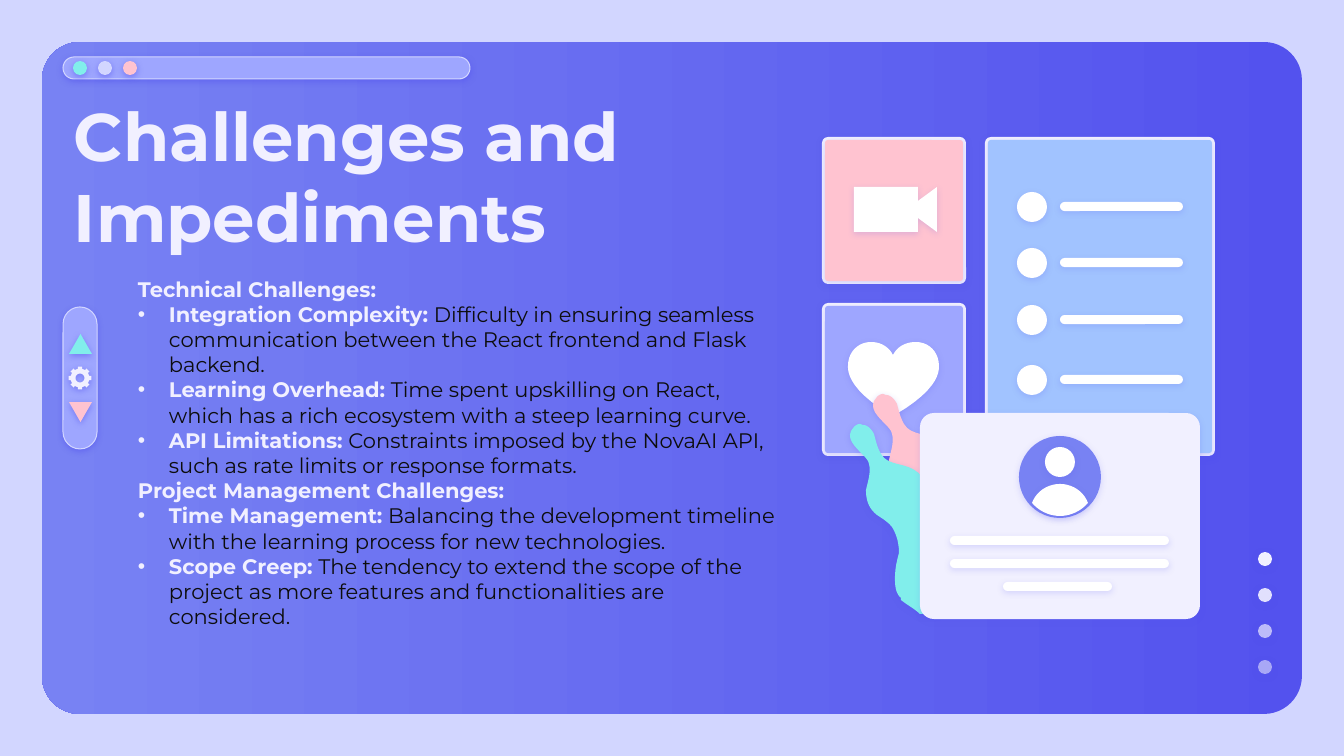
from dataclasses import dataclass
from math import cos, radians, sin
from typing import NamedTuple

from lxml.etree import SubElement
from pptx import Presentation
from pptx.dml.color import RGBColor
from pptx.enum.shapes import MSO_SHAPE
from pptx.enum.text import MSO_ANCHOR
from pptx.oxml.ns import qn
from pptx.util import Pt

SCALE = 914400 / 100.8  # EMU in one px


@dataclass(frozen=True)
class Theme:
    font: str = "Montserrat"
    title_size: int = 48
    body_size: int = 15
    backdrop: str = "D2D6FF"
    indigo: str = "5352EE"
    periwinkle: str = "7882F3"
    lavender: str = "9EA6FF"
    sky: str = "A1C3FF"
    mint: str = "81EEEB"
    pink: str = "FFC3D0"
    pale: str = "F1F0FF"
    white: str = "FFFFFF"
    ink: str = "0D0D0D"


class Box(NamedTuple):
    left: int
    top: int
    width: int
    height: int

    def within(self, left, top, width, height):
        return Box(self.left + left, self.top + top, width, height)

    def inset(self, gap):
        return self.within(gap, gap, self.width - 2 * gap, self.height - 2 * gap)


THEME = Theme()
STRONG, SOFT, BLOB = 50, 16, 22  # shadow opacity in percent

# Outlines: two numbers make a straight step, six make a Bézier curve
HEART = [(23, 0), (10, 0, 0, 10, 0, 24), (0, 29, 0, 44, 32, 66), (45, 74), (58, 66),
         (91, 44, 91, 29, 91, 24), (91, 10, 81, 0, 68, 0), (57, 0, 49, 5, 45, 13),
         (41, 5, 33, 0, 23, 0)]
SHOULDERS = [(28, 0), (15, 0, 4, 8, 0, 19), (7, 27, 17, 32, 28, 32),
             (39, 32, 49, 27, 56, 19), (52, 8, 41, 0, 28, 0)]
CAMERA = [(0, 0), (0, 45), (64, 45), (64, 31), (83, 45), (83, 0), (64, 14), (64, 0)]
SPLASH = [(19, 0), (16, 0, 14, 2, 13, 3), (0, 16, 22, 28, 27, 37), (31, 46, 27, 57, 25, 66),
          (25, 75, 27, 84, 36, 91), (42, 95, 47, 98, 51, 103), (56, 111, 58, 120, 58, 129),
          (56, 136, 54, 145, 54, 154), (54, 160, 54, 169, 60, 174), (60, 176),
          (66, 181, 74, 185, 79, 190), (81, 190, 83, 190, 85, 190),
          (89, 190, 95, 189, 99, 188), (112, 183, 124, 174, 130, 161),
          (139, 141, 131, 116, 113, 103), (108, 100, 103, 98, 99, 93),
          (92, 85, 90, 71, 86, 61), (74, 34, 49, 46, 40, 30), (36, 23, 35, 17, 33, 10),
          (31, 6, 27, 1, 22, 1), (21, 1, 20, 0, 19, 0)]

BODY = [
    ("Technical Challenges:", ""),
    ("Integration Complexity:", " Difficulty in ensuring seamless communication between "
     "the React frontend and Flask backend."),
    ("Learning Overhead:", " Time spent upskilling on React, which has a rich ecosystem "
     "with a steep learning curve."),
    ("API Limitations:", " Constraints imposed by the NovaAI API, such as rate limits "
     "or response formats."),
    ("Project Management Challenges:", ""),
    ("Time Management:", " Balancing the development timeline with the learning process "
     "for new technologies."),
    ("Scope Creep:", " The tendency to extend the scope of the project as more features "
     "and functionalities are considered."),
]


def px(length):
    return round(length * SCALE)


def paint(shape, color, shadow, alpha=100, outline=None):
    shape.fill.solid()
    shape.fill.fore_color.rgb = RGBColor.from_string(color)
    properties = shape.element.spPr
    if alpha < 100:
        tint = properties.find(qn("a:solidFill"))[0]
        SubElement(tint, qn("a:alpha"), val=str(alpha * 1000))
    if outline:
        shape.line.color.rgb = RGBColor.from_string(outline)
        shape.line.width = Pt(0.75)
    else:
        shape.line.fill.background()
    shape.shadow.inherit = False
    glow = SubElement(properties.find(qn("a:effectLst")), qn("a:outerShdw"), blurRad=str(Pt(4.5)),
                      dist=str(Pt(1.5)), dir="5400000", algn="bl", rotWithShape="0")
    shade = SubElement(glow, qn("a:srgbClr"), val=THEME.indigo)
    SubElement(shade, qn("a:alpha"), val=str(shadow * 1000))


def preset(page, kind, box, radius=None):
    shape = page.shapes.add_shape(kind, *map(px, box))
    if radius is not None:
        shape.adjustments[0] = radius / min(box.width, box.height)
    return shape


def rounded(page, box, radius, color, shadow, outline=None):
    paint(preset(page, MSO_SHAPE.ROUNDED_RECTANGLE, box, radius), color, shadow, outline=outline)


def bar(page, box, color=THEME.white, shadow=SOFT, outline=None):
    rounded(page, box, min(box.width, box.height) / 2, color, shadow, outline)


def dot(page, box, color=THEME.white, shadow=SOFT, alpha=100):
    paint(preset(page, MSO_SHAPE.OVAL, box), color, shadow, alpha)


def trace(steps, samples=10):
    points = []
    for step in steps:
        if len(step) == 2:
            points.append(step)
            continue
        knots = [points[-1], step[:2], step[2:4], step[4:]]
        for index in range(1, samples + 1):
            t = index / samples
            weights = ((1 - t) ** 3, 3 * t * (1 - t) ** 2, 3 * t * t * (1 - t), t ** 3)
            points.append(tuple(sum(w * knot[axis] for w, knot in zip(weights, knots))
                                for axis in (0, 1)))
    return points


def outline_shape(page, left, top, contours, color, shadow):
    rings = [[(px(left + x), px(top + y)) for x, y in ring] for ring in contours]
    builder = page.shapes.build_freeform(*rings[0][0], scale=1.0)
    builder.add_line_segments(rings[0][1:])
    for ring in rings[1:]:
        builder.move_to(*ring[0])
        builder.add_line_segments(ring[1:])
    paint(builder.convert_to_shape(), color, shadow)


def polar(radius, degrees):
    return radius * cos(radians(degrees)), radius * sin(radians(degrees))


def window(page, box):
    # Gradient panel
    panel = preset(page, MSO_SHAPE.ROUNDED_RECTANGLE, box, 38)
    panel.fill.gradient()
    panel.fill.gradient_angle = 180
    for stop, position, color in zip(panel.fill.gradient_stops, (0, 1),
                                     (THEME.indigo, THEME.periwinkle)):
        stop.position = position
        stop.color.rgb = RGBColor.from_string(color)
    panel.line.fill.background()
    panel.shadow.inherit = False
    # Address bar with its three buttons
    address = box.within(21, 15, 407, 22)
    bar(page, address, THEME.lavender, STRONG, THEME.backdrop)
    for index, color in enumerate((THEME.mint, THEME.backdrop, THEME.pink)):
        dot(page, address.within(10 + 25 * index, 4, 14, 14), color, STRONG)
    # Fading page dots
    for index, alpha in enumerate((100, 90, 67, 54)):
        dot(page, box.within(1216, 510 + 36 * index, 14, 14), THEME.pale, STRONG, alpha)


def toolbar(page, box):
    bar(page, box, THEME.lavender, STRONG, THEME.backdrop)
    for top, turn, color in ((27, 0, THEME.mint), (95, 180, THEME.pink)):
        arrow = preset(page, MSO_SHAPE.ISOSCELES_TRIANGLE, box.within(6, top, 23, 20))
        arrow.rotation = turn
        paint(arrow, color, STRONG)
    # Gear: eight teeth around a hole
    teeth = [polar(radius, 45 * tooth + offset) for tooth in range(8)
             for radius, offset in ((9.5, -12), (11.5, -11), (11.5, 11), (9.5, 12))]
    hole = [polar(4.5, -15 * index) for index in range(24)]
    outline_shape(page, box.left + 17, box.top + 71, (teeth, hole), THEME.pale, STRONG)


def text_frame(page, box, bottom=13):
    frame = page.shapes.add_textbox(*map(px, box)).text_frame
    frame.word_wrap = True
    frame.vertical_anchor = MSO_ANCHOR.MIDDLE
    frame.margin_left = frame.margin_right = frame.margin_top = px(13)
    frame.margin_bottom = px(bottom)
    return frame


def write(para, text, size, color, bold):
    span = para.add_run()
    span.text = text
    span.font.name = THEME.font
    span.font.size = Pt(size)
    span.font.bold = bold
    span.font.color.rgb = RGBColor.from_string(color)


def title(page, box):
    para = text_frame(page, box).paragraphs[0]
    write(para, "Challenges and Impediments", THEME.title_size, THEME.pale, True)


def body(page, box):
    frame = text_frame(page, box, bottom=67)
    for index, (label, detail) in enumerate(BODY):
        para = frame.add_paragraph() if index else frame.paragraphs[0]
        write(para, label, THEME.body_size, THEME.pale, True)
        if detail:
            write(para, detail, THEME.body_size, THEME.ink, False)
            layout = para._p.get_or_add_pPr()
            layout.set("marL", str(px(31)))
            layout.set("indent", str(-px(31)))
            SubElement(SubElement(layout, qn("a:buClr")), qn("a:srgbClr"), val=THEME.pale)
            SubElement(layout, qn("a:buFont"), typeface="Arial")
            SubElement(layout, qn("a:buChar"), char="•")


def tile(page, box, color):
    rounded(page, box, 6, THEME.pale, SOFT)
    rounded(page, box.inset(3), 3, color, SOFT)


def profile_card(page, box):
    rounded(page, box, 14, THEME.pale, SOFT)
    for left, top, width in ((30, 123, 219), (30, 146, 219), (83, 169, 109)):
        bar(page, box.within(left, top, width, 9))
    dot(page, box.within(99, 23, 82, 82), THEME.periwinkle)
    dot(page, box.within(125, 34, 30, 30))
    outline_shape(page, box.left + 112, box.top + 71, [trace(SHOULDERS)], THEME.white, SOFT)


def illustration(page, box):
    # Heart tile with two splashes
    tile(page, box.within(0, 166, 144, 153), THEME.lavender)
    outline_shape(page, box.left + 26, box.top + 205, [trace(HEART)], THEME.white, SOFT)
    for left, top, color in ((42, 257, THEME.pink), (19, 287, THEME.mint)):
        outline_shape(page, box.left + left, box.top + top, [trace(SPLASH)], color, BLOB)
    # List tile
    listing = box.within(163, 0, 230, 319)
    tile(page, listing, THEME.sky)
    for middle in (70, 126, 183, 243):
        dot(page, listing.within(32, middle - 15, 30, 30))
        bar(page, listing.within(75, middle - 5, 123, 9))
    profile_card(page, box.within(98, 276, 280, 206))
    # Video tile
    tile(page, box.within(0, 0, 144, 147), THEME.pink)
    outline_shape(page, box.left + 32, box.top + 50, [CAMERA], THEME.white, SOFT)


def main():
    deck = Presentation()
    deck.slide_width, deck.slide_height = px(1344), px(756)
    page = deck.slides.add_slide(deck.slide_layouts[6])
    page.background.fill.solid()
    page.background.fill.fore_color.rgb = RGBColor.from_string(THEME.backdrop)
    window(page, Box(42, 42, 1260, 672))
    title(page, Box(61, 143, 759, 65))
    body(page, Box(125, 290, 669, 379))
    illustration(page, Box(822, 137, 393, 482))
    toolbar(page, Box(63, 307, 34, 142))
    deck.save("out.pptx")


if __name__ == "__main__":
    main()
